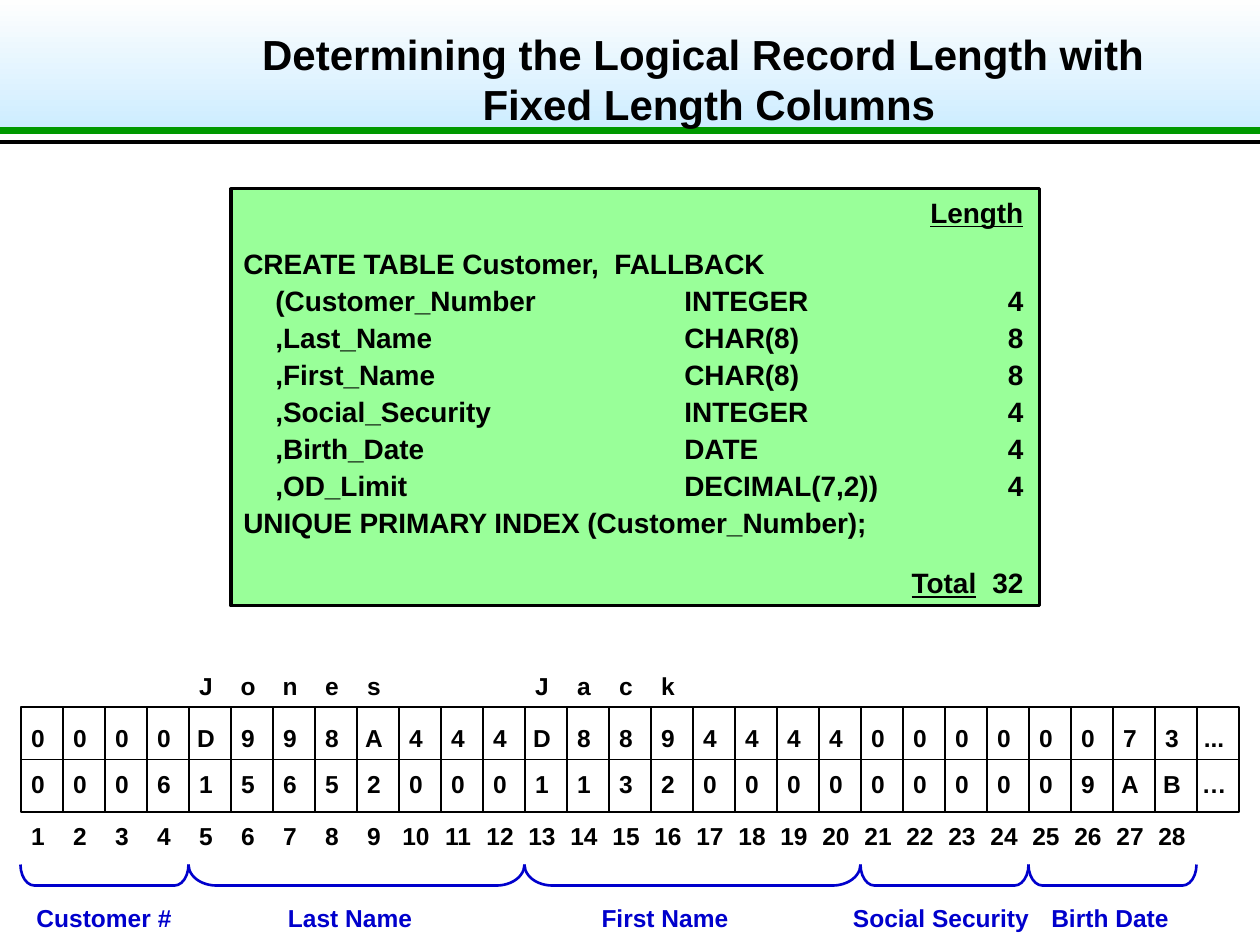
"""Build the slide on logical record length with fixed length columns."""
from dataclasses import dataclass

from lxml import etree
from pptx import Presentation
from pptx import util as u
from pptx.dml.color import RGBColor
from pptx.enum import shapes, text
from pptx.oxml import ns

PX = 914400 / 126
FONT = "Arial"
COLOURS = {
    "black": "000000",
    "band_top": "FEFEFE",
    "band_bottom": "CCECFF",
    "rule": "009900",
    "code": "99FF99",
    "field": "0000CC",
}
CELL, CELLS = 42, 29
GRID_LEFT, GRID_TOP, GRID_HEIGHT = 21, 707, 105
BYTES_LEFT, FIRST_BYTE = 24, 14
BRACKET_DEPTH, BRACKET_MIDDLE = 21, 875


@dataclass(frozen=True)
class Tab:
    position: int
    align: str


@dataclass(frozen=True)
class Line:
    segments: tuple[str, ...]
    tabs: tuple[Tab, ...] = ()
    before: int = 0
    underlined: int = -1
    colour: str = "black"


@dataclass(frozen=True)
class Field:
    label: str
    size: int
    label_centre: int


FIELDS = [
    Field("Customer #", 4, 104),
    Field("Last Name", 8, 350),
    Field("First Name", 8, 665),
    Field("Social Security", 4, 941),
    Field("Birth Date", 4, 1110),
]
COLUMNS = [
    ("(Customer_Number", "INTEGER", 4),
    (",Last_Name", "CHAR(8)", 8),
    (",First_Name", "CHAR(8)", 8),
    (",Social_Security", "INTEGER", 4),
    (",Birth_Date", "DATE", 4),
    (",OD_Limit", "DECIMAL(7,2))", 4),
]
LENGTH_TAB = Tab(780, "r")
COLUMN_TABS = (Tab(32, "l"), Tab(441, "l"), LENGTH_TAB)


def px(length: float) -> u.Emu:
    return u.Emu(round(length * PX))


def rgb(colour: str) -> RGBColor:
    return RGBColor.from_string(COLOURS[colour])


def style_font(font, size: int, colour: str) -> None:
    font.name, font.size, font.bold = FONT, u.Pt(size), True
    font.color.rgb = rgb(colour)


def add_preset(slide, kind, left: int, top: int, width: int, height: int):
    shape = slide.shapes.add_shape(kind, px(left), px(top), px(width), px(height))
    shape.shadow.inherit = False
    shape.fill.background()
    return shape


def outline(shape, colour: str, weight: float) -> None:
    shape.line.color.rgb = rgb(colour)
    shape.line.width = u.Pt(weight)


def add_rule(slide, x1: int, y1: int, x2: int, y2: int, colour: str, weight: float):
    rule = slide.shapes.add_connector(
        shapes.MSO_CONNECTOR.STRAIGHT, px(x1), px(y1), px(x2), px(y2))
    outline(rule, colour, weight)
    etree.SubElement(rule.element.spPr, ns.qn("a:effectLst"))
    return rule


def write_lines(frame, lines: list[Line], size: int) -> None:
    for index, line in enumerate(lines):
        paragraph = frame.add_paragraph() if index else frame.paragraphs[0]
        paragraph.alignment = text.PP_ALIGN.LEFT
        if line.tabs:
            stops = etree.SubElement(
                paragraph._p.get_or_add_pPr(), ns.qn("a:tabLst"))
            for tab in line.tabs:
                etree.SubElement(stops, ns.qn("a:tab"),
                                 pos=str(int(px(tab.position))), algn=tab.align)
        paragraph.space_before = u.Pt(line.before)
        style_font(paragraph.font, size, line.colour)
        for number, segment in enumerate(line.segments):
            run = paragraph.add_run()
            run.text = segment
            if number == line.underlined:
                run.font.underline = True


def centred_line(items: list[tuple[int, str]], before: int = 0,
                 colour: str = "black") -> Line:
    tabs = tuple(Tab(position, "ctr") for position, _ in items)
    return Line(("".join(f"\t{item}" for _, item in items),), tabs, before,
                colour=colour)


def byte_line(values: list[str], before: int = 0) -> Line:
    return centred_line([(FIRST_BYTE + CELL * index, value)
                         for index, value in enumerate(values) if value.strip()],
                        before)


def add_header(slide) -> None:
    title = slide.shapes.title
    band = add_preset(slide, shapes.MSO_SHAPE.RECTANGLE, 0, 0, 1260, 132)
    band.line.fill.background()
    band.fill.gradient()
    band.fill.gradient_angle = 270
    for stop, position, colour in zip(
            band.fill.gradient_stops, (0, 1), ("band_top", "band_bottom")):
        stop.position, stop.color.rgb = position, rgb(colour)
    add_rule(slide, 0, 142, 1260, 142, "black", 2)
    add_rule(slide, 0, 131, 1260, 131, "rule", 4)
    title.element.getparent().append(title.element)
    title.left, title.top, title.width, title.height = map(px, (210, 21, 998, 116))
    frame = title.text_frame
    frame.auto_size = text.MSO_AUTO_SIZE.NONE
    frame.vertical_anchor = text.MSO_ANCHOR.MIDDLE
    frame.text = "Determining the Logical Record Length with \vFixed Length Columns"
    heading = frame.paragraphs[0]
    heading.alignment = text.PP_ALIGN.CENTER
    style_font(heading.font, 24, "black")


def add_definition(slide) -> None:
    box = add_preset(slide, shapes.MSO_SHAPE.RECTANGLE, 231, 189, 809, 417)
    box.fill.solid()
    box.fill.fore_color.rgb = rgb("code")
    outline(box, "black", 1.75)
    box.text_frame.word_wrap = True
    box.text_frame.vertical_anchor = text.MSO_ANCHOR.TOP
    write_lines(box.text_frame, [
        Line(("\t", "Length"), (LENGTH_TAB,), underlined=1),
        Line(("CREATE TABLE Customer,  FALLBACK",), before=10),
        *(Line((f"\t{name}\t{kind}\t{length}",), COLUMN_TABS, 2)
          for name, kind, length in COLUMNS),
        Line(("UNIQUE PRIMARY INDEX (Customer_Number);",), before=2),
        Line(("\t", "Total", "\t32"), (Tab(733, "r"), LENGTH_TAB), 15, 1),
    ], 16)


def add_record(slide) -> None:
    record = slide.shapes.add_textbox(px(BYTES_LEFT), px(665), px(1218), px(273))
    frame = record.text_frame
    frame.word_wrap = True
    frame.margin_left = frame.margin_right = 0
    write_lines(frame, [
        byte_line(list("Jones".rjust(9) + "Jack".rjust(7))),
        byte_line([*"0000D998A444D889444400000073", "..."], 13),
        byte_line([*"00061565200011320000000009AB", "…"], 9),
        byte_line([str(number) for number in range(1, CELLS)], 13),
        centred_line([(field.label_centre - BYTES_LEFT, field.label)
                      for field in FIELDS], 30, "field"),
    ], 14)

    grid = add_preset(slide, shapes.MSO_SHAPE.RECTANGLE, GRID_LEFT, GRID_TOP,
                      CELL * CELLS, GRID_HEIGHT)
    outline(grid, "black", 1.5)
    for index in range(1, CELLS):
        x = GRID_LEFT + CELL * index
        add_rule(slide, x, GRID_TOP, x, GRID_TOP + GRID_HEIGHT, "black", 1.25)
    middle = GRID_TOP + GRID_HEIGHT // 2
    divider = add_rule(slide, GRID_LEFT, middle, GRID_LEFT + CELL * CELLS, middle,
                       "black", 0.75)
    divider.begin_connect(grid, 1)
    divider.end_connect(grid, 3)

    start = GRID_LEFT
    for field in FIELDS:
        span = field.size * CELL
        bracket = add_preset(
            slide, shapes.MSO_SHAPE.LEFT_BRACKET,
            start + (span - BRACKET_DEPTH) // 2, BRACKET_MIDDLE - span // 2,
            BRACKET_DEPTH, span)
        bracket.rotation = 270
        bracket.adjustments[0] = span / 12 / BRACKET_DEPTH
        outline(bracket, "field", 1.5)
        start += span


def main() -> None:
    deck = Presentation()
    deck.slide_width, deck.slide_height = px(1260), px(945)
    slide = deck.slides.add_slide(deck.slide_layouts[5])
    add_header(slide)
    add_definition(slide)
    add_record(slide)
    deck.save("out.pptx")


if __name__ == "__main__":
    main()
